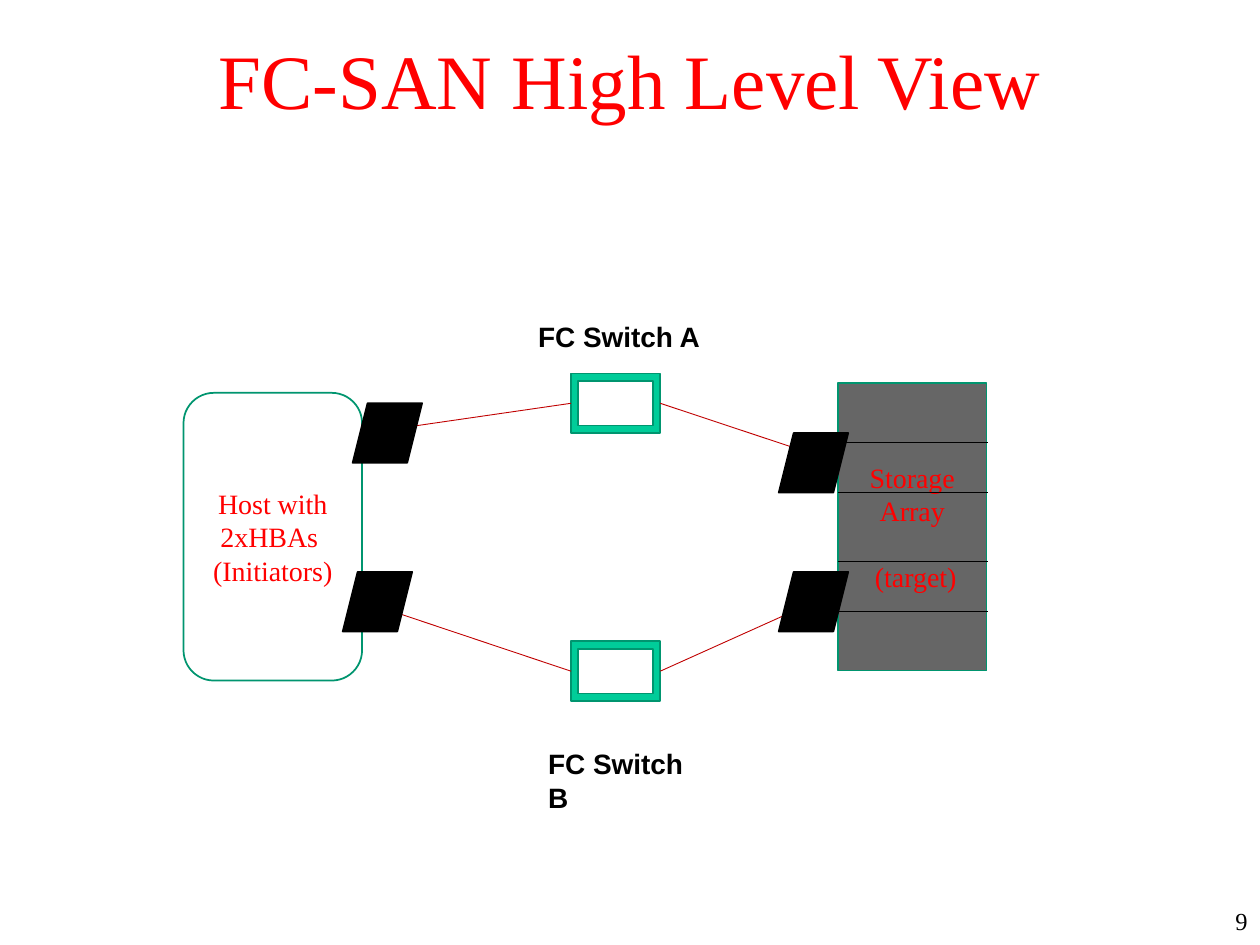
from pptx import Presentation, util as u
from pptx.dml.color import RGBColor
from pptx.enum import shapes, text
from pptx.oxml.ns import qn
from lxml import etree

COLORS = {"red": "FF0000", "black": "000000", "white": "FFFFFF", "gray": "666666",
          "mint": "00CC99", "green": "00956F", "cable": "C00000"}
KIND = shapes.MSO_SHAPE
MID = text.MSO_ANCHOR.MIDDLE
CENTER, RIGHT = text.PP_ALIGN.CENTER, text.PP_ALIGN.RIGHT


def write(box, lines, size=16, font="Times New Roman", color="red", bold=False,
          align=None, anchor=None, wrap=True, gap=0):
    frame = box.text_frame
    frame.word_wrap = wrap
    if anchor is not None:
        frame.vertical_anchor = anchor
    for i, line in enumerate(lines):
        para = frame.paragraphs[0] if i == 0 else frame.add_paragraph()
        para.alignment = align
        if i and gap:
            para.space_before = u.Pt(gap)
        run = para.add_run()
        run.text = line
        run.font.size, run.font.name, run.font.bold = u.Pt(size), font, bold
        run.font.color.rgb = RGBColor.from_string(COLORS[color])


def draw(kind, x, y, w, h, fill, line, adj=None):
    shape = slide.shapes.add_shape(kind, u.Cm(x), u.Cm(y), u.Cm(w), u.Cm(h))
    shape.shadow.inherit = False
    shape.fill.solid()
    shape.fill.fore_color.rgb = RGBColor.from_string(COLORS[fill])
    shape.line.color.rgb = RGBColor.from_string(COLORS[line])
    shape.line.width = u.Pt(1)
    if adj is not None:
        shape.adjustments[0] = adj
    return shape


deck = Presentation()
deck.slide_width, deck.slide_height = u.Cm(25.4), u.Cm(19.05)
slide = deck.slides.add_slide(deck.slide_layouts[6])

# Title and page number
title = slide.shapes.add_textbox(u.Cm(1.9), u.Cm(0), u.Cm(21.6), u.Cm(3.18))
write(title, ["FC-SAN High Level View"], size=44, align=CENTER, anchor=MID)
page = slide.shapes.add_textbox(u.Cm(24.05), u.Cm(18.14), u.Cm(1.35), u.Cm(0.91))
write(page, ["9"], size=14, color="black", align=RIGHT)

# Storage array with its shelf lines
left, right = 16.89, 19.91
store = draw(KIND.RECTANGLE, left, 7.72, 3, 5.8, "gray", "green")
write(store, ["Storage Array", " (target)"], align=CENTER, anchor=MID, gap=18.4)
wires = []
for y in (8.92, 9.93, 11.32, 12.32):
    shelf = slide.shapes.add_connector(shapes.MSO_CONNECTOR.STRAIGHT,
                                       u.Cm(left), u.Cm(y), u.Cm(right), u.Cm(y))
    wires.append((shelf, "black"))

# Host
host = draw(KIND.ROUNDED_RECTANGLE, 3.7, 7.92, 3.6, 5.8, "white", "green", 0.17)
write(host, ["Host with 2xHBAs ", "(Initiators)"], align=CENTER, anchor=MID)

# Switches, each with a cable to the host and one to the array
for top, near, far in ((7.53, 8.74, 9.32), (12.93, 12.12, 11.92)):
    switch = draw(KIND.FRAME, 11.51, top, 1.8, 1.2, "mint", "green", 0.125)
    for x, y, side in ((7.3, near, 1), (left, far, 3)):
        cable = slide.shapes.add_connector(shapes.MSO_CONNECTOR.STRAIGHT,
                                           u.Cm(x), u.Cm(y), u.Cm(x), u.Cm(y))
        cable.end_connect(switch, side)
        wires.append((cable, "cable"))

# Style of all lines
for wire, color in wires:
    wire.line.color.rgb = RGBColor.from_string(COLORS[color])
    wire.line.width = u.Pt(0.5)
    etree.SubElement(wire._element.spPr, qn("a:effectLst"))

# Switch labels
for name, x, y in (("FC Switch A", 10.6, 6.32), ("FC Switch B", 10.8, 14.93)):
    label = slide.shapes.add_textbox(u.Cm(x), u.Cm(y), u.Cm(3.78), u.Cm(0.94))
    write(label, [name], font="Arial", color="black", bold=True, wrap=False)

# Ports on the host and the array
for x, y in ((7.11, 8.13), (6.91, 11.53), (15.7, 8.73), (15.7, 11.53)):
    draw(KIND.PARALLELOGRAM, x, y, 1.4, 1.2, "black", "black", 0.25)

deck.save("out.pptx")
